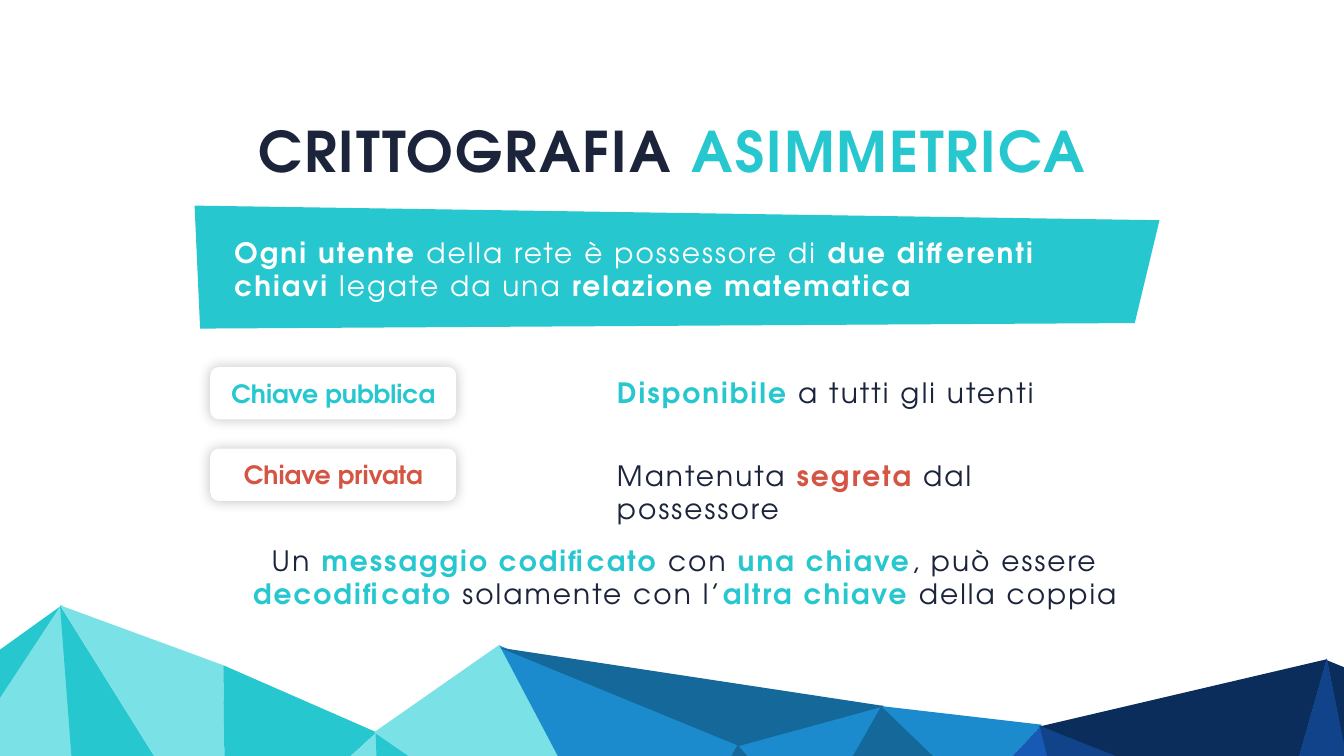
from lxml import etree
from pptx import Presentation
from pptx.dml.color import RGBColor
from pptx.enum.shapes import MSO_SHAPE
from pptx.enum.text import MSO_ANCHOR, MSO_AUTO_SIZE, PP_ALIGN
from pptx.oxml.ns import qn
from pptx.util import Inches, Pt

FONT = "TeX Gyre Adventor"
WHITE = RGBColor(0xFF, 0xFF, 0xFF)
INK = RGBColor(0x1B, 0x24, 0x3B)
RED = RGBColor(0xD4, 0x55, 0x44)
TEAL = RGBColor(0x27, 0xC7, 0xCF)
AQUA = RGBColor(0x7A, 0xE1, 0xE6)
SKY = RGBColor(0x1B, 0x8B, 0xCD)
STEEL = RGBColor(0x14, 0x68, 0x9A)
ROYAL = RGBColor(0x16, 0x5A, 0xB6)
COBALT = RGBColor(0x10, 0x43, 0x89)
NAVY = RGBColor(0x0B, 0x2D, 0x5B)

prs = Presentation()
prs.slide_width, prs.slide_height = Inches(26.66), Inches(15)
slide = prs.slides.add_slide(prs.slide_layouts[5])


def add_polygon(color, points):
    (x, y), *rest = [(Inches(px), Inches(py)) for px, py in points]
    builder = slide.shapes.build_freeform(x, y)
    builder.add_line_segments(rest, close=True)
    sp = builder.convert_to_shape()
    sp.shadow.inherit = False
    sp.fill.solid()
    sp.fill.fore_color.rgb = color
    sp.line.fill.background()


def add_runs(p, runs, size, spacing):
    for text, color, bold in runs:
        r = p.add_run()
        r.text = text
        r.font.name = FONT
        r.font.size = Pt(size)
        r.font.bold = bold
        r.font.color.rgb = color
        if spacing:
            r._r.get_or_add_rPr().set("spc", str(spacing * 100))


facets = [
    (TEAL, [(1.24, 12), (0, 12.89), (0, 13.88)]),
    (AQUA, [(1.57, 16.64), (1.21, 12.01), (-0.02, 13.88), (-0.02, 16.64)]),
    (TEAL, [(4.08, 16.64), (1.19, 12.01), (1.54, 16.64)]),
    (AQUA, [(4.47, 16.64), (4.43, 13.2), (1.19, 12.01), (4.08, 16.64)]),
    (TEAL, [(5.18, 16.64), (7.47, 14.53), (4.43, 13.2), (4.47, 16.64)]),
    (AQUA, [(7.55, 16.64), (7.47, 14.53), (5.18, 16.64)]),
    (TEAL, [(10.52, 16.64), (7.45, 14.53), (7.53, 16.64)]),
    (AQUA, [(11.94, 16.64), (9.91, 12.79), (7.42, 14.53), (10.49, 16.64)]),
    (SKY, [(13.62, 16.66), (14.66, 14.76), (9.91, 12.81), (11.94, 16.66)]),
    (SKY, [(14.61, 14.79), (16.1, 16.47), (17.51, 14)]),
    (STEEL, [(16.08, 16.47), (19.35, 15.8), (17.49, 14)]),
    (SKY, [(17.48, 14.01), (19.34, 15.8), (20.67, 14.38)]),
    (ROYAL, [(21.24, 16.71), (20.65, 14.4), (19.31, 15.83), (20.28, 16.71)]),
    (NAVY, [(20.6, 14.42), (25.4, 16.33), (26.32, 13.08)]),
    (COBALT, [(24.41, 16.71), (25.42, 16.31), (20.62, 14.4), (21.21, 16.71)]),
    (NAVY, [(26.81, 13.3), (26.32, 13.1), (26.81, 15.57)]),
    (COBALT, [(26.81, 16.71), (26.81, 15.52), (26.32, 13.06), (25.4, 16.31), (26, 16.71)]),
    (STEEL, [(9.91, 12.85), (17.55, 14.01), (14.66, 14.8)]),
    (STEEL, [(15.71, 16.68), (16.12, 16.46), (14.63, 14.78), (13.59, 16.68)]),
]
for color, points in facets:
    add_polygon(color, points)

title = slide.shapes.title
title.left, title.top = Inches(4.42), Inches(2.26)
title.width, title.height = Inches(17.81), Inches(1.45)
tf = title.text_frame
tf.word_wrap = False
tf.auto_size = MSO_AUTO_SIZE.SHAPE_TO_FIT_TEXT
tf.vertical_anchor = MSO_ANCHOR.TOP
p = tf.paragraphs[0]
p.alignment = PP_ALIGN.CENTER
add_runs(p, [("CRITTOGRAFIA ", INK, True), ("ASIMMETRICA", TEAL, True)], 80, 3)

add_polygon(TEAL, [(3.86, 4.08), (23, 4.37), (22.51, 6.41), (3.97, 6.52)])

texts = [
    (4.55, 4.62, 18.09, 1.45, PP_ALIGN.LEFT, [
        ("Ogni utente ", WHITE, True),
        ("della rete è possessore di", WHITE, False),
        (" due differenti chiavi ", WHITE, True),
        ("legate da una ", WHITE, False),
        ("relazione matematica", WHITE, True),
    ]),
    (12.14, 7.41, 10.65, 0.77, PP_ALIGN.LEFT, [
        ("Disponibile", TEAL, True),
        (" a tutti gli utenti", INK, False),
    ]),
    (12.14, 9.04, 10.65, 0.77, PP_ALIGN.LEFT, [
        ("Mantenuta ", INK, False),
        ("segreta", RED, True),
        (" dal possessore", INK, False),
    ]),
    (4.17, 10.73, 18.83, 1.45, PP_ALIGN.CENTER, [
        ("Un ", INK, False),
        ("messaggio codificato", TEAL, True),
        (" con ", INK, False),
        ("una chiave", TEAL, True),
        (", può essere ", INK, False),
        ("decodificato", TEAL, True),
        (" solamente con l’", INK, False),
        ("altra chiave", TEAL, True),
        (" della coppia", INK, False),
    ]),
]
for left, top, width, height, align, runs in texts:
    box = slide.shapes.add_textbox(Inches(left), Inches(top), Inches(width), Inches(height))
    tf = box.text_frame
    tf.word_wrap = True
    tf.auto_size = MSO_AUTO_SIZE.SHAPE_TO_FIT_TEXT
    p = tf.paragraphs[0]
    p.alignment = align
    add_runs(p, runs, 40, 3)

keys = [("Chiave pubblica", TEAL, 7.28), ("Chiave privata", RED, 8.9)]
for label, color, top in keys:
    sp = slide.shapes.add_shape(
        MSO_SHAPE.ROUNDED_RECTANGLE, Inches(4.17), Inches(top), Inches(4.88), Inches(1.04))
    sp.fill.solid()
    sp.fill.fore_color.rgb = WHITE
    sp.line.fill.background()
    sp.shadow.inherit = False
    effects = sp._element.spPr.find(qn("a:effectLst"))
    shadow = etree.SubElement(effects, qn("a:outerShdw"), blurRad=str(Pt(19)), dist="0",
                              dir="0", algn="ctr", rotWithShape="0")
    black = etree.SubElement(shadow, qn("a:srgbClr"), val="000000")
    etree.SubElement(black, qn("a:alpha"), val="23000")
    tf = sp.text_frame
    tf.vertical_anchor = MSO_ANCHOR.MIDDLE
    p = tf.paragraphs[0]
    p.alignment = PP_ALIGN.CENTER
    add_runs(p, [(label, color, True)], 36, 0)

prs.save("out.pptx")
